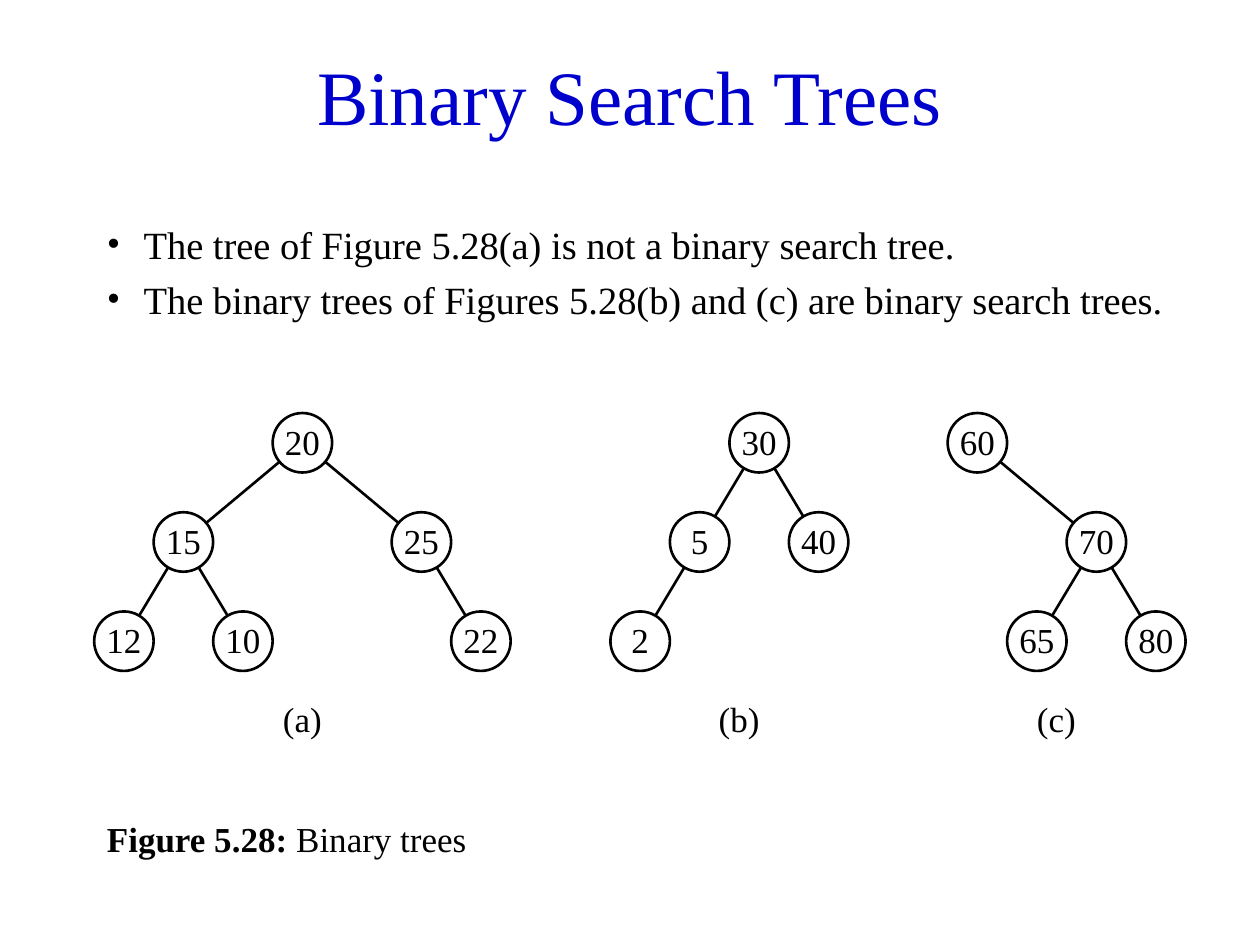
"""Build the slide on binary search trees with three example trees."""
from lxml import etree
from pptx import Presentation
from pptx.dml.color import RGBColor
from pptx.enum.shapes import MSO_CONNECTOR, MSO_SHAPE
from pptx.enum.text import MSO_ANCHOR, PP_ALIGN
from pptx.oxml.ns import qn
from pptx.util import Pt

STRAIGHT = MSO_CONNECTOR.STRAIGHT
OVAL = MSO_SHAPE.OVAL
TOP, MIDDLE, BOTTOM = MSO_ANCHOR.TOP, MSO_ANCHOR.MIDDLE, MSO_ANCHOR.BOTTOM
LEFT, CENTER = PP_ALIGN.LEFT, PP_ALIGN.CENTER
BLACK = RGBColor(0, 0, 0)
WHITE = RGBColor(255, 255, 255)
BLUE = RGBColor(0, 0, 0xCC)
FONT = "Times New Roman"

NODE = 34
STEP = 34
LEVEL = 56.7
ROOT_Y = 253
LINE_WIDTH = 1.5
LABEL_TOP = 395
TEXT_MARGINS = (7.2, 3.6, 7.2, 3.6)
LABEL_MARGINS = (0, 3.6, 0, 3.6)
NODE_MARGINS = (0, 0, 0, 0.7)

TREES = [
    {"label": "(a)", "root_x": 172.8, "label_x": 172.8,
     "nodes": {"20": (0, 0), "15": (-2, 1), "25": (2, 1),
               "12": (-3, 2), "10": (-1, 2), "22": (3, 2)},
     "edges": [("20", "15"), ("20", "25"), ("15", "12"), ("15", "10"), ("25", "22")]},
    {"label": "(b)", "root_x": 433.8, "label_x": 422.3,
     "nodes": {"30": (0, 0), "5": (-1, 1), "40": (1, 1), "2": (-2, 2)},
     "edges": [("30", "5"), ("30", "40"), ("5", "2")]},
    {"label": "(c)", "root_x": 558.5, "label_x": 603.7,
     "nodes": {"60": (0, 0), "70": (2, 1), "65": (1, 2), "80": (3, 2)},
     "edges": [("60", "70"), ("70", "65"), ("70", "80")]},
]


def write(shape, paragraphs, size, color=BLACK, align=CENTER, anchor=TOP, wrap=True,
          margins=TEXT_MARGINS):
    frame = shape.text_frame
    left, top, right, bottom = [Pt(margin) for margin in margins]
    formats = {"word_wrap": wrap, "vertical_anchor": anchor, "margin_left": left,
               "margin_top": top, "margin_right": right, "margin_bottom": bottom}
    for name, value in formats.items():
        setattr(frame, name, value)
    for index, runs in enumerate(paragraphs):
        paragraph = frame.add_paragraph() if index else frame.paragraphs[0]
        paragraph.alignment = align
        for text, bold in runs:
            run = paragraph.add_run()
            run.text = text
            for name, value in {"name": FONT, "size": Pt(size), "bold": bold}.items():
                setattr(run.font, name, value)
            run.font.color.rgb = color
    return frame


def add_text(left, top, width, height, *content, **formats):
    box = slide.shapes.add_textbox(Pt(left), Pt(top), Pt(width), Pt(height))
    return write(box, *content, **formats)


presentation = Presentation()
presentation.slide_width = Pt(720)
presentation.slide_height = Pt(540)
slide = presentation.slides.add_slide(presentation.slide_layouts[6])

add_text(19.6, 20.5, 680.4, 67.7, [[("Binary Search Trees", False)]], 44,
         color=BLUE, anchor=MIDDLE)

bullets = add_text(54, 122.7, 623.5, 67.7, [
    [("The tree of Figure 5.28(a) is not a binary search tree.", False)],
    [("The binary trees of Figures 5.28(b) and (c) are binary search trees.", False)],
], 22, align=LEFT)
for paragraph in bullets.paragraphs:
    paragraph.space_before = Pt(5)
    properties = paragraph._p.get_or_add_pPr()
    properties.set("marL", str(Pt(21)))
    properties.set("indent", str(Pt(-21)))
    etree.SubElement(properties, qn("a:buFont")).set("typeface", FONT)
    etree.SubElement(properties, qn("a:buChar")).set("char", "•")

caption = add_text(54, 463.7, 226.8, 34, [[("Figure 5.28:", True), (" Binary trees", False)]],
                   20, align=LEFT)
caption.paragraphs[0].space_before = Pt(4)

for tree in TREES:
    centers = {key: (tree["root_x"] + column * STEP, ROOT_Y + level * LEVEL)
               for key, (column, level) in tree["nodes"].items()}

    for parent, child in tree["edges"]:
        ends = [Pt(value) for value in centers[parent] + centers[child]]
        edge = slide.shapes.add_connector(STRAIGHT, *ends)
        edge.line.color.rgb = BLACK
        edge.line.width = Pt(LINE_WIDTH)
        etree.SubElement(edge._element.spPr, qn("a:effectLst"))

    for key, (x, y) in centers.items():
        node = slide.shapes.add_shape(OVAL, Pt(x - NODE / 2), Pt(y - NODE / 2),
                                      Pt(NODE), Pt(NODE))
        node.shadow.inherit = False
        node.fill.solid()
        node.fill.fore_color.rgb = WHITE
        node.line.color.rgb = BLACK
        node.line.width = Pt(LINE_WIDTH)
        write(node, [[(key, False)]], 20, anchor=BOTTOM, margins=NODE_MARGINS)

    add_text(tree["label_x"] - NODE / 2, LABEL_TOP, NODE, NODE,
             [[(tree["label"], False)]], 20, wrap=False, margins=LABEL_MARGINS)

presentation.save("out.pptx")
